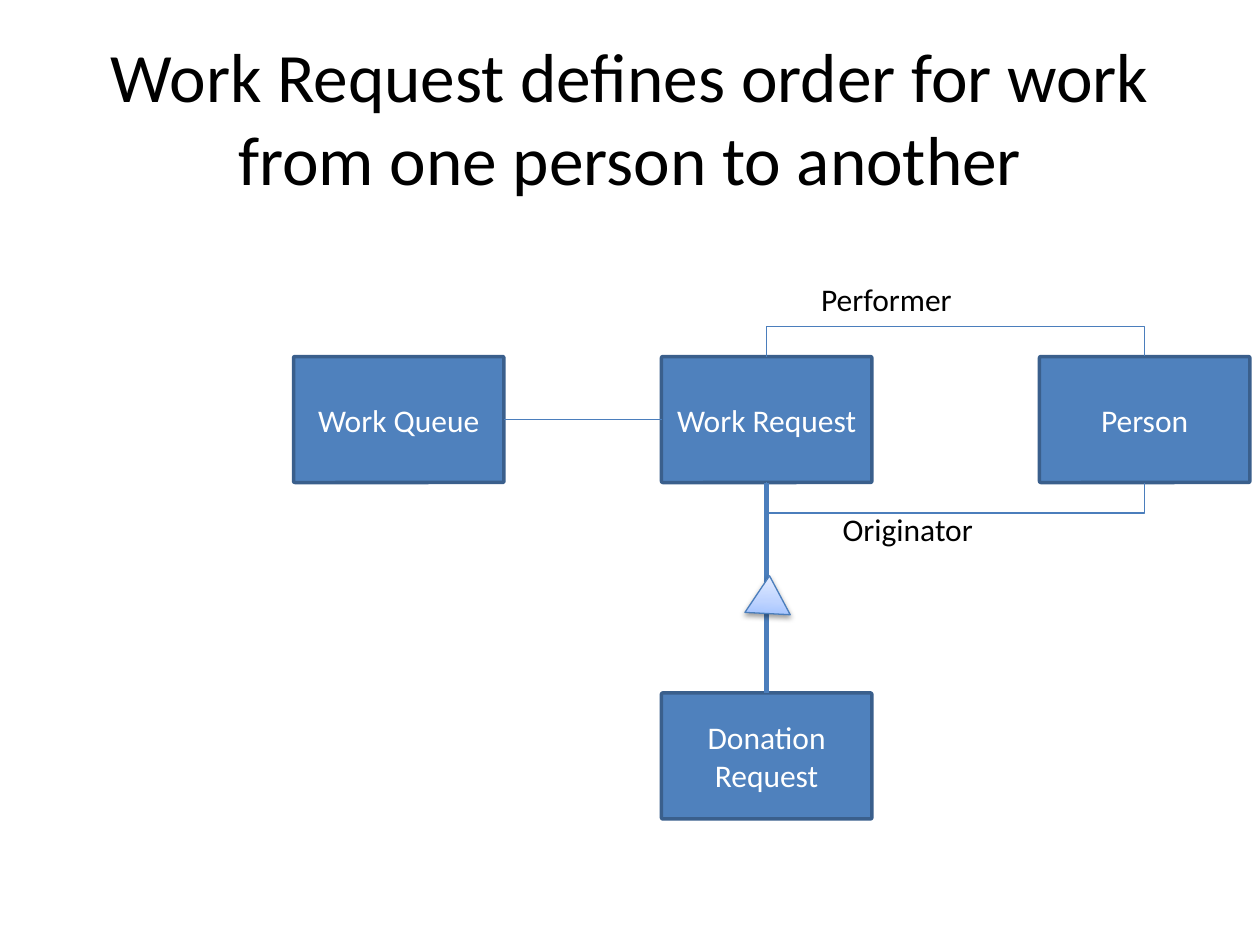
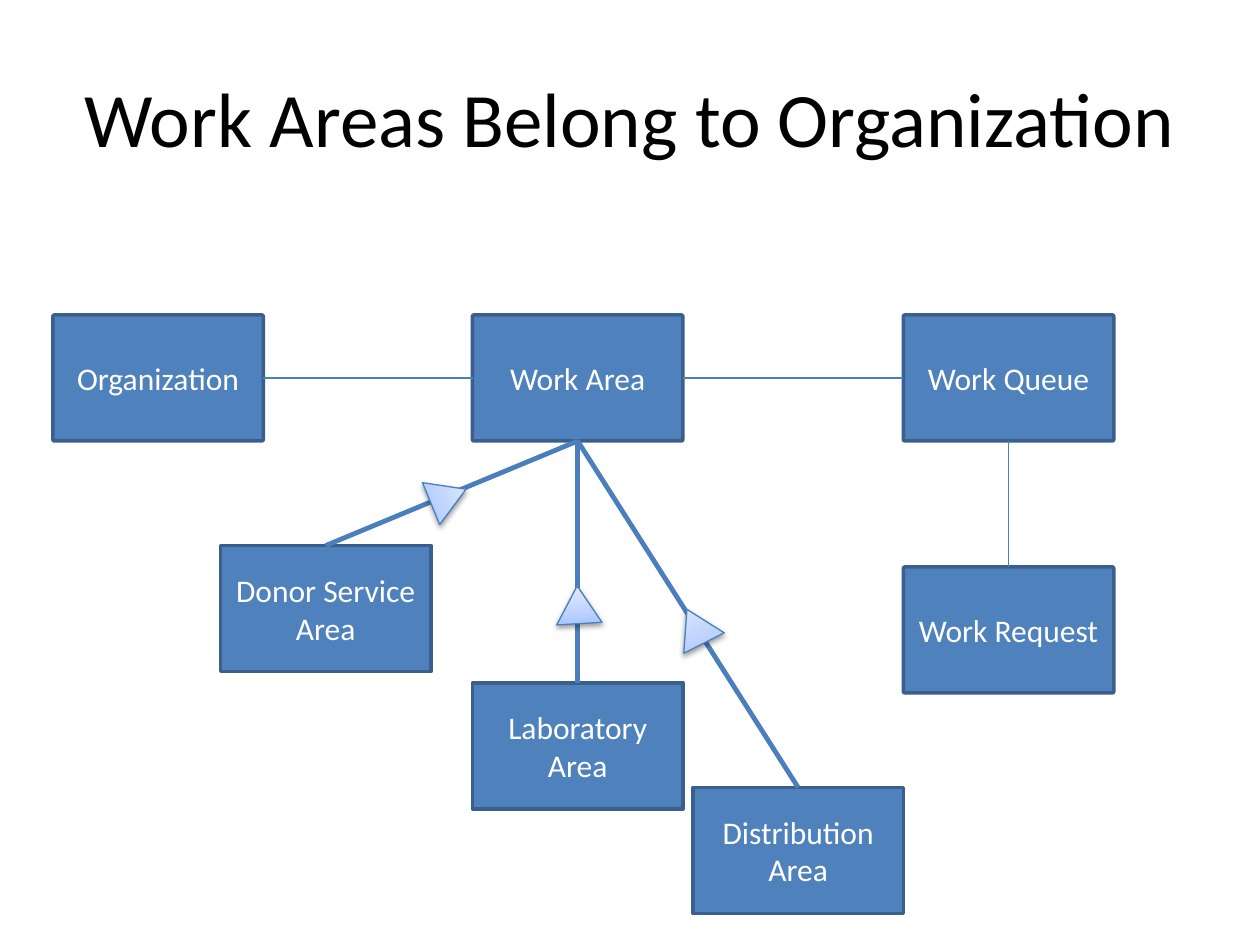
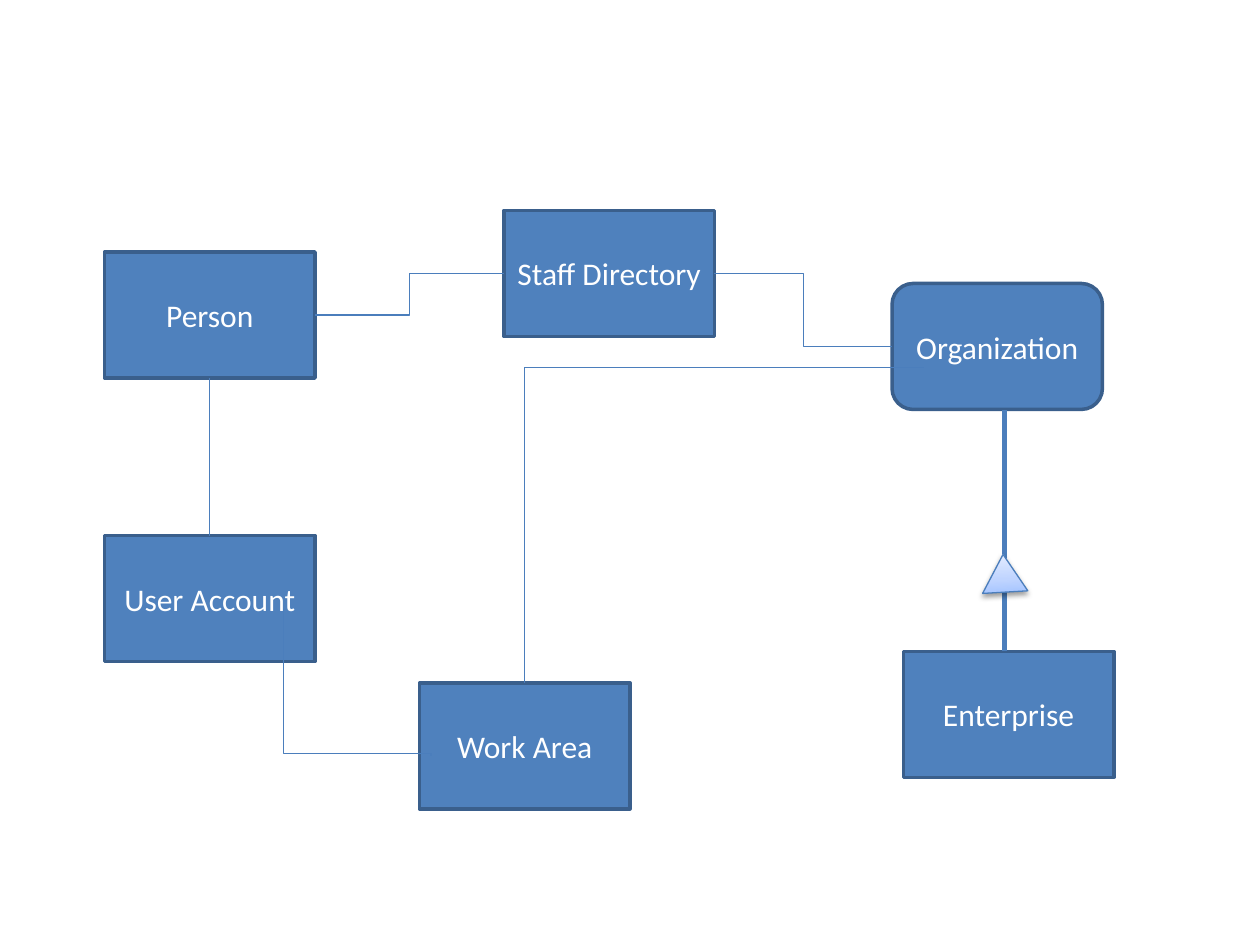
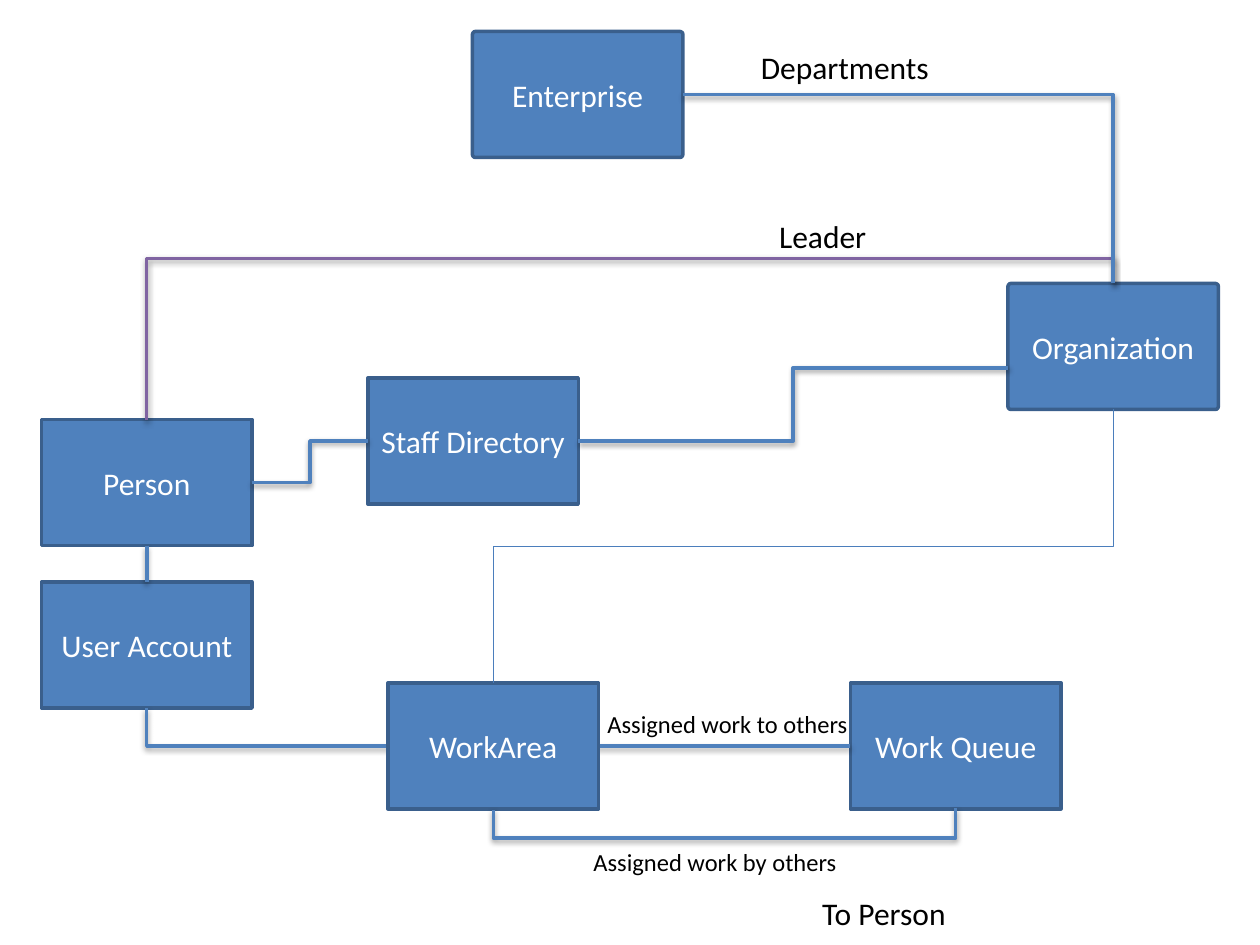
from dataclasses import dataclass
from typing import Any

from lxml.etree import SubElement
from pptx import Presentation
from pptx.dml.color import RGBColor
from pptx.enum.shapes import MSO_CONNECTOR as Link, MSO_SHAPE as Preset
from pptx.enum.text import MSO_ANCHOR as Anchor, MSO_AUTO_SIZE as Fit, PP_ALIGN as Align
from pptx.oxml import parse_xml
from pptx.oxml.ns import nsdecls, qn
from pptx.util import Inches, Pt

COLORS = {
    "box": "4F81BD", "border": "3A5F8C", "line": "4B7EBC", "leader": "8064A2",
    "light": "FFFFFF", "dark": "000000",
    "low": "A4C4FF", "middle": "BFD4FF", "high": "E6EEFF",
}
FONT = "Calibri"
BOX_WIDTH, BOX_HEIGHT = 1.67, 1
THIN, MEDIUM, THICK = 0.75, 2, 2.75


def color(name):
    return RGBColor.from_string(COLORS[name])


def write(frame, text, size=18, ink="dark"):
    para = frame.paragraphs[0]
    para.alignment = Align.CENTER
    span = para.add_run()
    span.text = text
    span.font.name = FONT
    span.font.size = Pt(size)
    span.font.color.rgb = color(ink)


def stroke(shape, ink="line", width=THIN):
    shape.line.color.rgb = color(ink)
    shape.line.width = Pt(width)


def set_effects(properties, shadow):
    effects = SubElement(properties, qn("a:effectLst"))
    if shadow:
        effects.append(parse_xml(
            f'<a:outerShdw {nsdecls("a")} blurRad="{Pt(3.1)}" dist="{Pt(1.6)}" '
            f'dir="5400000" rotWithShape="0"><a:srgbClr val="{COLORS["dark"]}">'
            '<a:alpha val="38000"/></a:srgbClr></a:outerShdw>'))


@dataclass
class Node:
    left: float
    top: float

    def edge(self, side):
        x, y = {"left": (0, 0.5), "right": (1, 0.5), "top": (0.5, 0), "bottom": (0.5, 1)}[side]
        return self.left + x * BOX_WIDTH, self.top + y * BOX_HEIGHT


@dataclass
class Region:
    page: Any
    left: float
    top: float

    def place(self, x, y):
        return Inches(self.left + x), Inches(self.top + y)

    def box(self, text, x, y, corner=0):
        shape = self.page.shapes.add_shape(
            Preset.ROUNDED_RECTANGLE, *self.place(x, y), Inches(BOX_WIDTH), Inches(BOX_HEIGHT))
        shape.adjustments[0] = corner
        shape.shadow.inherit = False
        shape.fill.solid()
        shape.fill.fore_color.rgb = color("box")
        stroke(shape, "border", MEDIUM)
        shape.text_frame.word_wrap = True
        shape.text_frame.vertical_anchor = Anchor.MIDDLE
        write(shape.text_frame, text, ink="light")
        return Node(x, y)

    def label(self, text, x, y, width, height=0.4, size=18):
        shape = self.page.shapes.add_textbox(*self.place(x, y), Inches(width), Inches(height))
        shape.text_frame.word_wrap = False
        shape.text_frame.auto_size = Fit.SHAPE_TO_FIT_TEXT
        write(shape.text_frame, text, size=size)

    def line(self, start, end, kind=Link.STRAIGHT, ink="line", width=THIN, shadow=False):
        link = self.page.shapes.add_connector(kind, *self.place(*start), *self.place(*end))
        stroke(link, ink, width)
        set_effects(link._element.spPr, shadow)
        return link

    def elbow(self, start, end, bend=None, upright=False, corner=False, **style):
        link = self.line(start, end, Link.ELBOW, **style)
        properties = link._element.spPr
        axis = 1 if upright else 0
        if bend is None:
            bend = (start[axis] + end[axis]) / 2
        travel = end[axis] - start[axis]
        if abs(travel) < 0.01:
            travel = 0.01 if bend > start[axis] else -0.01
        if upright:
            across = end[0] - start[0]
            length, depth = abs(travel), abs(across)
            middle = (start[0] + end[0]) / 2, (start[1] + end[1]) / 2
            link.left, link.top = self.place(middle[0] - length / 2, middle[1] - depth / 2)
            link.width, link.height = Inches(length), Inches(depth)
            frame = properties.find(qn("a:xfrm"))
            frame.set("rot", "5400000")
            frame.set("flipH", str(int(travel < 0)))
            frame.set("flipV", str(int(across > 0)))
        geometry = properties.find(qn("a:prstGeom"))
        if corner:
            geometry.set("prst", "bentConnector2")
        else:
            share = round((bend - start[axis]) / travel * 100000)
            SubElement(geometry.find(qn("a:avLst")), qn("a:gd"), name="adj1", fmla=f"val {share}")

    def triangle(self, x, y, angle):
        shape = self.page.shapes.add_shape(
            Preset.FLOWCHART_EXTRACT, *self.place(x, y), Inches(0.36), Inches(0.3))
        shape.rotation = angle
        stops = "".join(
            f'<a:gs pos="{stop * 1000}"><a:srgbClr val="{COLORS[name]}"/></a:gs>'
            for stop, name in ((0, "low"), (35, "middle"), (100, "high")))
        properties = shape._element.spPr
        properties.find(qn("a:prstGeom")).addnext(parse_xml(
            f'<a:gradFill {nsdecls("a")} rotWithShape="1"><a:gsLst>{stops}</a:gsLst>'
            '<a:lin ang="16200000" scaled="0"/></a:gradFill>'))
        stroke(shape)
        set_effects(properties, True)


def add_page(deck, title=None, size=44):
    page = deck.slides.add_slide(deck.slide_layouts[5 if title else 6])
    if title:
        heading = page.shapes.title
        heading.left, heading.top = Inches(0.5), Inches(0.3)
        heading.width, heading.height = Inches(9), Inches(1.25)
        heading.text_frame.vertical_anchor = Anchor.MIDDLE
        write(heading.text_frame, title, size=size)
    return page


def draw_work_request(region):
    donation = region.box("Donation Request", 2.92, 3.33, 0.012)
    person = region.box("Person", 5.92, 0.66, 0.012)
    request = region.box("Work Request", 2.92, 0.66, 0.012)
    queue = region.box("Work Queue", 0, 0.66, 0.012)
    for side, bend in (("top", 0.41), ("bottom", 1.91)):
        region.elbow(request.edge(side), person.edge(side), bend, upright=True)
    region.label("Performer", 4.08, 0, 1.25)
    region.label("Originator", 4.25, 1.83, 1.25)
    region.line(donation.edge("top"), request.edge("bottom"), width=THICK)
    region.triangle(3.59, 2.4, 2.9)
    region.line(queue.edge("right"), request.edge("left"))


def draw_work_areas(region):
    area = region.box("Work Area", 3.33, 0, 0.012)
    organization = region.box("Organization", 0, 0, 0.012)
    queue = region.box("Work Queue", 6.75, 0, 0.012)
    request = region.box("Work Request", 6.75, 2, 0.012)
    region.line(queue.edge("bottom"), request.edge("top"))
    region.line(area.edge("right"), queue.edge("left"))
    region.line(organization.edge("right"), area.edge("left"))
    kinds = (("Donor Service Area", 1.33, 1.83), ("Distribution Area", 5.08, 3.75),
             ("Laboratory Area", 3.33, 2.92))
    for kind in kinds:
        region.line(region.box(*kind).edge("top"), area.edge("bottom"), width=THICK)
    for x, y, angle in ((4.92, 2.32, 333.2), (3.99, 2.15, 356.7), (2.96, 1.29, 67.6)):
        region.triangle(x, y, angle)


def draw_staff(region):
    organization = region.box("Organization", 6.25, 0.58, 0.167)
    staff = region.box("Staff Directory", 3.17, 0)
    person = region.box("Person", 0, 0.33)
    region.elbow(organization.edge("left"), staff.edge("right"))
    region.elbow(staff.edge("left"), person.edge("right"))
    account = region.box("User Account", 0, 2.58)
    region.line(person.edge("bottom"), account.edge("top"))
    area = region.box("Work Area", 2.5, 3.75)
    region.elbow(area.edge("top"), (6.5, 1.25), upright=True, corner=True)
    region.elbow((1.42, 3.16), (2.59, 4.33), 4.31, upright=True)
    region.box("Enterprise", 6.34, 3.5)
    region.line((7.14, 3.5), (7.14, 1.58), width=THICK)
    region.triangle(6.96, 2.73, 356.7)


def draw_enterprise(region):
    bold = {"ink": "box", "width": MEDIUM, "shadow": True}
    person = region.box("Person", 0, 3.08)
    account = region.box("User Account", 0, 4.37)
    queue = region.box("Work Queue", 6.42, 5.17)
    organization = region.box("Organization", 7.67, 2, 0.024)
    staff = region.box("Staff Directory", 2.59, 2.75)
    enterprise = region.box("Enterprise", 3.42, 0, 0.024)
    region.elbow((organization.left, 2.67), staff.edge("right"), **bold)
    region.elbow(staff.edge("left"), person.edge("right"), **bold)
    region.elbow(person.edge("top"), organization.edge("top"), 1.8, upright=True,
                 **{**bold, "ink": "leader"})
    region.line(person.edge("bottom"), account.edge("top"), **bold)
    region.elbow(queue.edge("left"), account.edge("bottom"), corner=True, **bold)
    region.elbow(enterprise.edge("right"), organization.edge("top"), corner=True, **bold)
    area = region.box("WorkArea", 2.75, 5.17)
    region.elbow(queue.edge("bottom"), area.edge("bottom"), 6.41, upright=True, **bold)
    region.elbow(organization.edge("bottom"), area.edge("top"), upright=True)
    region.label("To Person", 6.09, 6.8, 1.19)
    region.label("Leader", 5.75, 1.42, 0.9)
    region.label("Departments", 5.6, 0.08, 1.55)
    region.label("Assigned work to others", 4.38, 5.33, 2.13, 0.34, 14)
    region.label("Assigned work by others", 4.27, 6.42, 2.15, 0.34, 14)


def main():
    deck = Presentation()
    deck.slide_width, deck.slide_height = Inches(10), Inches(7.5)
    request_title = "Work Request defines order for work from one person to another"
    draw_work_request(Region(add_page(deck, request_title, 39.6), 2.33, 2.17))
    draw_work_areas(Region(add_page(deck, "Work Areas Belong to Organization"), 0.42, 2.5))
    draw_staff(Region(add_page(deck), 0.83, 1.67))
    draw_enterprise(Region(add_page(deck), 0.33, 0.25))
    deck.save("out.pptx")


if __name__ == "__main__":
    main()
